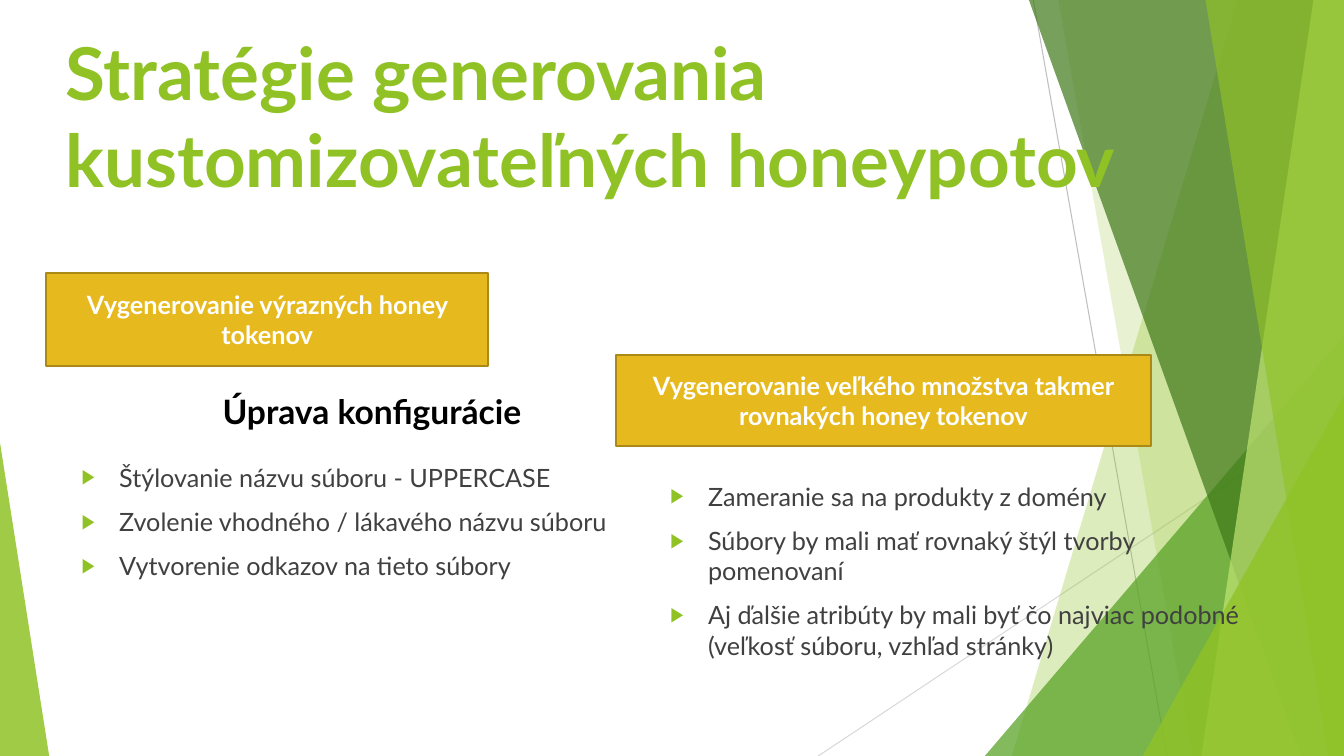
from pptx import Presentation
from pptx import util as u
from pptx.dml.color import RGBColor
from pptx.enum import shapes, text
from pptx.oxml.ns import qn
from lxml import etree

WIDE, HIGH = 33.87, 19.05
GREEN, LEAF, GOLD = "90C226", "54A021", "E6B91E"
LEFT = [
    "Štýlovanie názvu súboru - UPPERCASE",
    "Zvolenie vhodného / lákavého názvu súboru",
    "Vytvorenie odkazov na tieto súbory",
]
RIGHT = [
    "Zameranie sa na produkty z domény",
    "Súbory by mali mať rovnaký štýl tvorby pomenovaní",
    "Aj ďalšie atribúty by mali byť čo najviac podobné "
    "(veľkosť súboru, vzhľad stránky)",
]


def color(code):
    """Turn a hex string into a colour."""
    return RGBColor.from_string(code)


def apply(item, values):
    """Set each attribute named in a dict."""
    for name, value in values.items():
        setattr(item, name, value)


def add(node, tag, **attrs):
    """Append an XML child and return it."""
    child = etree.SubElement(node, qn(tag))
    for name, value in attrs.items():
        child.set(name, str(value))
    return child


def place(shape, left, top, width, height):
    """Move and size a shape, in centimetres."""
    apply(shape, {"left": u.Cm(left), "top": u.Cm(top),
                  "width": u.Cm(width), "height": u.Cm(height)})


def write(shape, lines, size, code, bold=False, align=text.PP_ALIGN.LEFT,
          anchor=text.MSO_ANCHOR.TOP):
    """Fill a shape with formatted paragraphs."""
    frame = shape.text_frame
    frame.text = "\n".join(lines)
    apply(frame, {"word_wrap": True, "vertical_anchor": anchor,
                  "auto_size": text.MSO_AUTO_SIZE.NONE})
    for para in frame.paragraphs:
        para.alignment = align
        font = para.runs[0].font
        apply(font, {"name": "Lato", "size": u.Pt(size), "bold": bold})
        font.color.rgb = color(code)


def tint(shape, code, alpha):
    """Give a shape a see-through fill and no line."""
    shape.shadow.inherit = False
    shape.fill.solid()
    shape.fill.fore_color.rgb = color(code)
    shape.line.fill.background()
    fill = shape._element.spPr.find(qn("a:solidFill"))
    add(fill[0], "a:alpha", val=alpha * 1000)


def band(slide, top, base, code, alpha):
    """Draw a full-height band from a slanted edge to the right side."""
    spots = [(u.Cm(x), u.Cm(y)) for x, y in
             [(top, 0), (WIDE, 0), (WIDE, HIGH), (base, HIGH)]]
    form = slide.shapes.build_freeform(*spots[0])
    form.add_line_segments(spots[1:], close=True)
    tint(form.convert_to_shape(), code, alpha)


def wedge(slide, left, top, width, peak, code, alpha):
    """Draw a triangle that stands on the bottom of the slide."""
    shape = slide.shapes.add_shape(
        shapes.MSO_SHAPE.ISOSCELES_TRIANGLE,
        u.Cm(left), u.Cm(top), u.Cm(width), u.Cm(HIGH - top))
    shape.adjustments[0] = peak
    tint(shape, code, alpha)


def line(slide, start, end, code):
    """Draw a thin straight line."""
    rule = slide.shapes.add_connector(
        shapes.MSO_CONNECTOR.STRAIGHT, *map(u.Cm, start + end))
    rule.line.width = u.Pt(0.75)
    rule.line.color.rgb = color(code)
    add(rule._element.spPr, "a:effectLst")


def label(slide, words, *area):
    """Draw a gold box with a centred heading."""
    box = slide.shapes.add_shape(shapes.MSO_SHAPE.RECTANGLE, 0, 0, 0, 0)
    place(box, *area)
    box.shadow.inherit = False
    box.fill.solid()
    box.fill.fore_color.rgb = color(GOLD)
    box.line.color.rgb = color("AA8916")
    box.line.width = u.Pt(1.5)
    write(box, [words], 18, "FFFFFF", True, text.PP_ALIGN.CENTER,
          text.MSO_ANCHOR.MIDDLE)


def bullets(holder, lines, left, top):
    """Fill a body placeholder with an arrow list."""
    place(holder, left, top, 15.11, 6.07)
    write(holder, lines, 18, "404040")
    for para in holder.text_frame.paragraphs:
        para.space_before = u.Pt(10)
        props = para._p.get_or_add_pPr()
        props.set("marL", str(u.Cm(0.95)))
        props.set("indent", str(-u.Cm(0.95)))
        add(add(props, "a:buClr"), "a:srgbClr", val=GREEN)
        add(props, "a:buSzPct", val=80000)
        add(props, "a:buFont", typeface="Arial")
        add(props, "a:buChar", char="▶")


def decor(slide):
    """Draw the green facets at both sides."""
    line(slide, (26.04, 0), (29.41, HIGH), "BFBFBF")
    line(slide, (WIDE, 10.24), (20.62, HIGH), "D9D9D9")
    band(slide, 31.19, 25.5, GREEN, 30)
    band(slide, 26.67, 30.05, GREEN, 20)
    wedge(slide, 24.82, 8.46, 9.05, 1, LEAF, 72)
    band(slide, 25.93, 32.79, "3F7819", 70)
    band(slide, 33.1, 30.28, "C0E474", 70)
    band(slide, 30.38, 33.48, GREEN, 65)
    wedge(slide, 28.8, 9.98, 5.07, 1, GREEN, 80)
    wedge(slide, 0, 11.15, 1.24, 0, GREEN, 85)


def main():
    """Build and save the slide."""
    deck = Presentation()
    apply(deck, {"slide_width": u.Cm(WIDE), "slide_height": u.Cm(HIGH)})
    slide = deck.slides.add_slide(deck.slide_layouts[3])
    title, first, second = list(slide.placeholders)[:3]
    decor(slide)
    for holder in (title, first, second):
        slide.shapes._spTree.append(holder._element)

    place(title, 1.4, 0.56, 31.06, 3.66)
    write(title, ["Stratégie generovania kustomizovateľných honeypotov"],
          52, GREEN, True)
    label(slide, "Vygenerovanie výrazných honey tokenov",
          1.17, 6.88, 11.13, 2.34)
    label(slide, "Vygenerovanie veľkého množstva takmer rovnakých "
          "honey tokenov", 15.52, 8.94, 13.49, 2.31)
    head = slide.shapes.add_textbox(0, 0, 0, 0)
    place(head, 5.36, 9.73, 8.51, 1.27)
    write(head, ["Úprava konfigurácie"], 24, "000000", True)
    bullets(first, LEFT, 1.8, 11.51)
    bullets(second, RIGHT, 16.64, 11.99)
    deck.save("out.pptx")


main()
